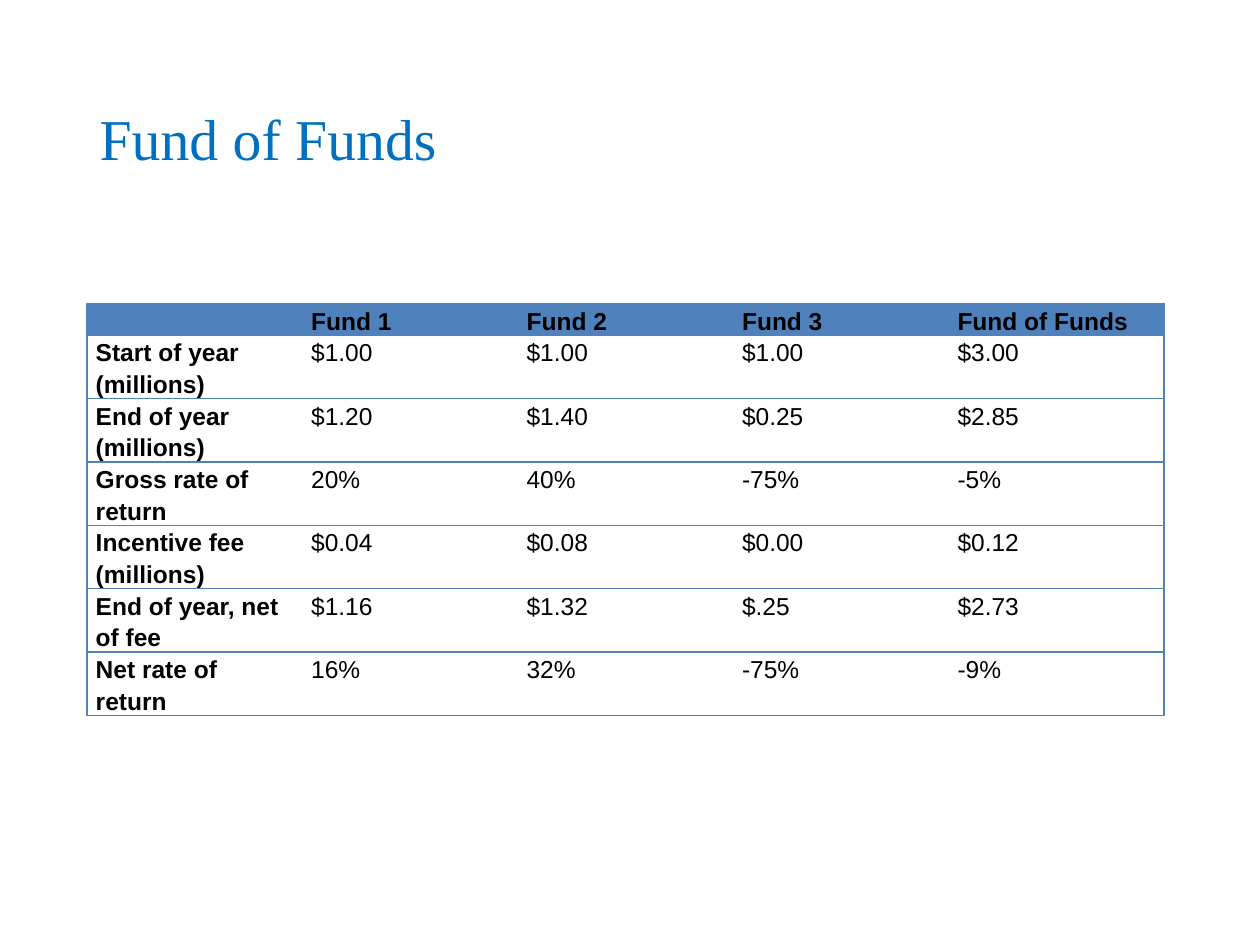
"""Build the fund of funds slide: a title above a table of fund returns."""
from dataclasses import dataclass

from lxml import etree
from pptx import Presentation
from pptx.dml.color import RGBColor
from pptx.enum.text import MSO_ANCHOR, PP_ALIGN
from pptx.oxml.ns import qn
from pptx.slide import Slide
from pptx.table import _Cell
from pptx.util import Inches, Pt

LEFT = PP_ALIGN.LEFT
TOP = MSO_ANCHOR.TOP
MIDDLE = MSO_ANCHOR.MIDDLE
TITLE_ONLY = 5
COLORS = {"title": "0070C0", "accent": "4F81BD", "text": "000000"}
TITLE_FONT = "Times New Roman"
TABLE_FONT = "Arial"
TABLE_SIZE = Pt(14)
COLUMN_WIDTH = 1.71
LINE_HEIGHT = 0.25


@dataclass(frozen=True)
class FundRow:
    label: str
    values: tuple[str, ...]


HEADER = FundRow("", ("Fund 1", "Fund 2", "Fund 3", "Fund of Funds"))
MEASURES = (
    FundRow("Start of year (millions)", ("$1.00", "$1.00", "$1.00", "$3.00")),
    FundRow("End of year (millions)", ("$1.20", "$1.40", "$0.25", "$2.85")),
    FundRow("Gross rate of return", ("20%", "40%", "-75%", "-5%")),
    FundRow("Incentive fee (millions)", ("$0.04", "$0.08", "$0.00", "$0.12")),
    FundRow("End of year, net of fee", ("$1.16", "$1.32", "$.25", "$2.73")),
    FundRow("Net rate of return", ("16%", "32%", "-75%", "-9%")),
)


def add_title(slide: Slide, wording: str) -> None:
    title = slide.shapes.title
    title.left, title.top = Inches(0.69), Inches(0.4)
    title.width, title.height = Inches(8.62), Inches(1.45)
    title.text_frame.text = wording
    title.text_frame.vertical_anchor = MIDDLE
    paragraph = title.text_frame.paragraphs[0]
    paragraph.alignment = LEFT
    paragraph.line_spacing = 0.9
    font = paragraph.runs[0].font
    font.name, font.size = TITLE_FONT, Pt(33)
    font.color.rgb = RGBColor.from_string(COLORS["title"])


def set_borders(cell: _Cell, drawn_sides: str) -> None:
    properties = cell._tc.get_or_add_tcPr()
    for side in "LRTB":
        line = etree.SubElement(properties, qn(f"a:ln{side}"), w=str(Pt(1)))
        if side in drawn_sides:
            fill = etree.SubElement(line, qn("a:solidFill"))
            etree.SubElement(fill, qn("a:srgbClr"), val=COLORS["accent"])
        else:
            etree.SubElement(line, qn("a:noFill"))


def write_cell(cell: _Cell, wording: str, bold: bool) -> None:
    cell.margin_left = cell.margin_right = Inches(0.07)
    cell.margin_top = cell.margin_bottom = 0
    cell.vertical_anchor = TOP
    cell.text_frame.text = wording
    paragraph = cell.text_frame.paragraphs[0]
    paragraph.line_spacing = 1.15
    for run in paragraph.runs:
        run.font.name, run.font.size, run.font.bold = TABLE_FONT, TABLE_SIZE, bold
        run.font.color.rgb = RGBColor.from_string(COLORS["text"])
    if not wording:
        size = str(int(TABLE_SIZE.pt * 100))
        etree.SubElement(paragraph._p, qn("a:endParaRPr"), sz=size)


def add_fund_table(slide: Slide, rows: tuple[FundRow, ...]) -> None:
    column_count = len(HEADER.values) + 1
    table = slide.shapes.add_table(
        len(rows), column_count, Inches(0.69), Inches(2.41),
        Inches(column_count * COLUMN_WIDTH), Inches((2 * len(rows) - 1) * LINE_HEIGHT),
    ).table
    table.first_row = table.horz_banding = False
    for column in table.columns:
        column.width = Inches(COLUMN_WIDTH)
    for row_index, row in enumerate(rows):
        is_header = row is HEADER
        table.rows[row_index].height = Inches(LINE_HEIGHT * (1 if is_header else 2))
        for column_index, wording in enumerate((row.label, *row.values)):
            cell = table.cell(row_index, column_index)
            outer_side = {0: "L", column_count - 1: "R"}.get(column_index, "")
            set_borders(cell, "TB" + outer_side)
            if is_header:
                cell.fill.solid()
                cell.fill.fore_color.rgb = RGBColor.from_string(COLORS["accent"])
            else:
                cell.fill.background()
            write_cell(cell, wording, bold=is_header or column_index == 0)


def main() -> None:
    presentation = Presentation()
    presentation.slide_width, presentation.slide_height = Inches(10), Inches(7.5)
    slide = presentation.slides.add_slide(presentation.slide_layouts[TITLE_ONLY])
    add_title(slide, "Fund of Funds")
    add_fund_table(slide, (HEADER, *MEASURES))
    presentation.save("out.pptx")


if __name__ == "__main__":
    main()
